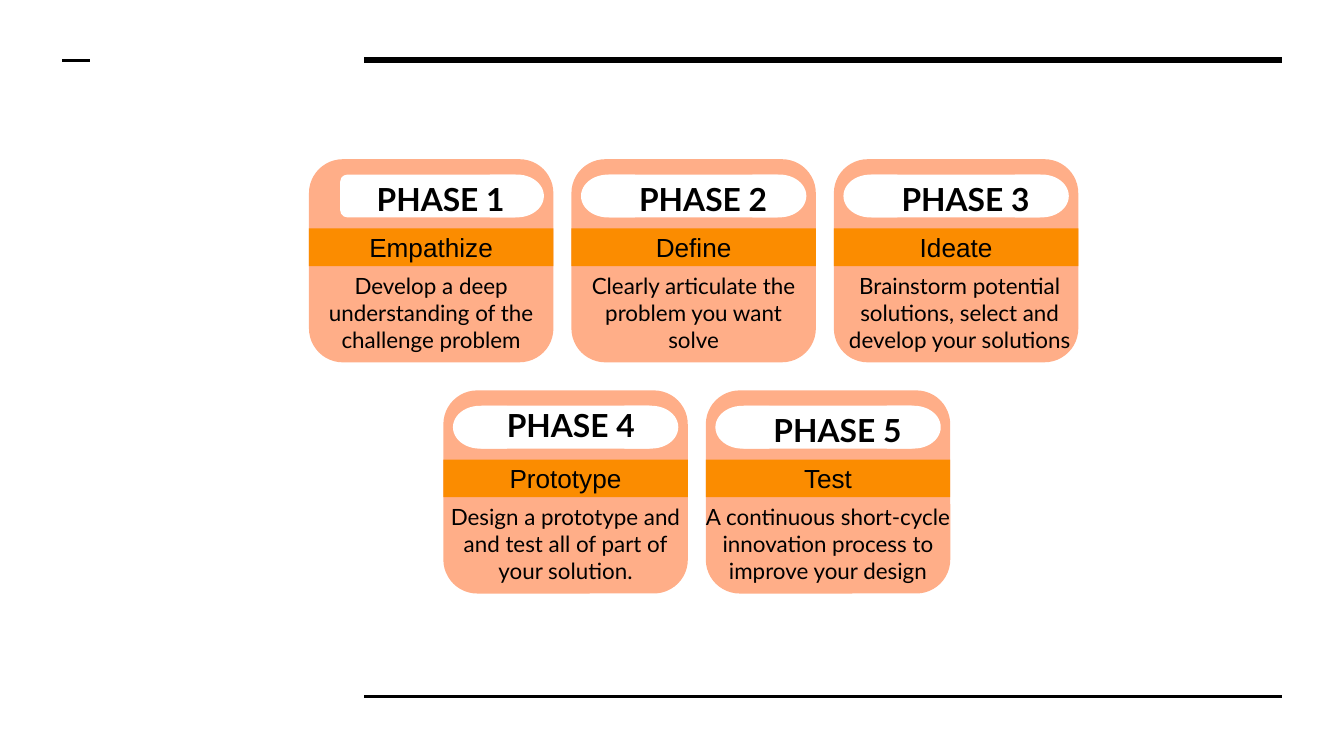
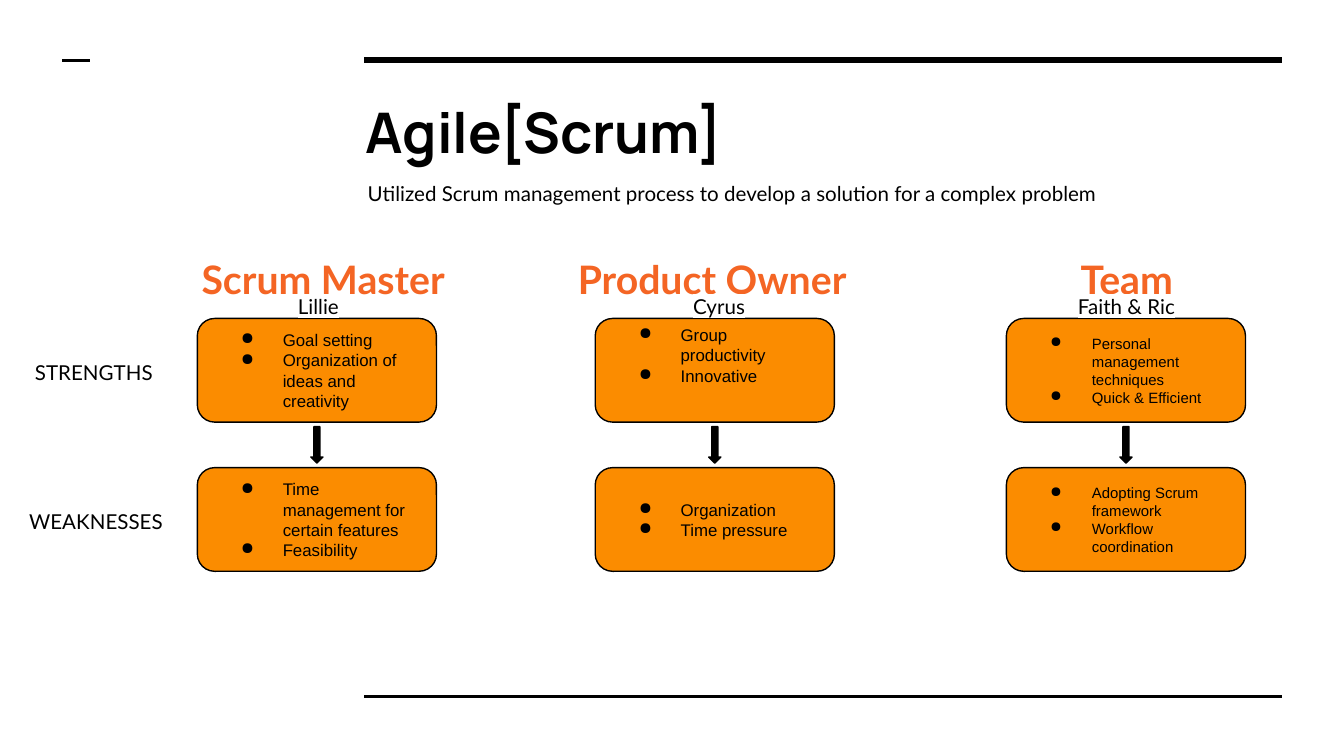
from dataclasses import dataclass

from pptx import Presentation
from pptx.dml.color import RGBColor
from pptx.enum.shapes import MSO_CONNECTOR, MSO_SHAPE
from pptx.enum.text import MSO_ANCHOR, PP_ALIGN
from pptx.oxml.xmlchemy import OxmlElement
from pptx.util import Cm, Pt


@dataclass(frozen=True)
class Theme:
    """Colours, fonts, type sizes and text margins shared by the slides."""
    black: str = "000000"
    white: str = "FFFFFF"
    peach: str = "FFAE88"
    orange: str = "FB8C00"
    role_orange: str = "F46524"
    title_font: str = "Manrope"
    body_font: str = "Lato"
    box_font: str = "Arial"
    title_size: float = 30
    role_size: float = 21
    phase_size: float = 17
    step_size: float = 14
    description_size: float = 12
    label_size: float = 11
    inset: float = 0.25
    corner: float = 0.167


THEME = Theme()


@dataclass(frozen=True)
class Phase:
    """One card of the design process."""
    left: float
    top: float
    heading: str
    step: str
    description: str
    description_width: float
    description_shift: float = 0
    heading_left: float = 0.94
    heading_top: float = 0.13


@dataclass(frozen=True)
class Role:
    """One column of the Scrum team, with boxes given as (left, width)."""
    box_left: float
    title: str
    title_box: tuple
    person: str
    person_box: tuple
    strengths: tuple
    weaknesses: tuple
    size: float = 9
    align: PP_ALIGN = PP_ALIGN.LEFT
    strengths_bottom_inset: float = THEME.inset


CARD_PITCH = 4.96
CARD_WIDTH, CARD_HEIGHT = 4.62, 3.84
TOP_ROW, BOTTOM_ROW = (5.84, 3.01), (8.38, 7.38)
BOX_WIDTH, BOX_HEIGHT = 4.52, 1.96
STRENGTHS_TOP, WEAKNESSES_TOP = 6.02, 8.84
ARROW_WIDTH, ARROW_HEIGHT = 0.23, 0.69

PHASES = (
    Phase(*TOP_ROW, "PHASE 1", "Empathize",
          "Develop a deep understanding of the challenge problem", 5.89),
    Phase(TOP_ROW[0] + CARD_PITCH, TOP_ROW[1], "PHASE 2", "Define",
          "Clearly articulate the problem you want solve", 4.67),
    Phase(TOP_ROW[0] + 2 * CARD_PITCH, TOP_ROW[1], "PHASE 3", "Ideate",
          "Brainstorm potential solutions, select and develop your solutions",
          5.74, description_shift=0.07),
    Phase(*BOTTOM_ROW, "PHASE 4", "Prototype",
          "Design a prototype and and test all of part of your solution.",
          5.05, heading_left=0.86, heading_top=0.04),
    Phase(BOTTOM_ROW[0] + CARD_PITCH, BOTTOM_ROW[1], "PHASE 5", "Test",
          "A continuous short-cycle innovation process to improve your design",
          5.49),
)

ROLES = (
    Role(3.73, "Scrum Master", (3.56, 5.21), "Lillie", (5.38, 1.57),
         ("Goal setting", "Organization of ideas and creativity"),
         ("Time management for certain features", "Feasibility")),
    Role(11.25, "Product Owner", (10.67, 5.69), "Cyrus", (12.85, 1.57),
         ("Group productivity", "Innovative"),
         ("Organization", "Time pressure"), strengths_bottom_inset=0.82),
    Role(19.02, "Team", (18.69, 5.21), "Faith & Ric", (20.02, 2.54),
         ("Personal management techniques", "Quick & Efficient"),
         ("Adopting Scrum framework", "Workflow coordination"),
         size=8, align=PP_ALIGN.CENTER),
)


def color(value):
    """Turn a hexadecimal string into a colour."""
    return RGBColor.from_string(value)


def add_line(slide, start, end, y, width):
    """Draw a horizontal black line without a shadow."""
    line = slide.shapes.add_connector(
        MSO_CONNECTOR.STRAIGHT, Cm(start), Cm(y), Cm(end), Cm(y))
    line.line.color.rgb = color(THEME.black)
    line.line.width = Pt(width)
    line._element.spPr.append(OxmlElement("a:effectLst"))


def add_block(slide, kind, box, fill, outline=None):
    """Draw a filled preset shape in a (left, top, width, height) box."""
    shape = slide.shapes.add_shape(kind, *map(Cm, box))
    shape.shadow.inherit = False
    shape.fill.solid()
    shape.fill.fore_color.rgb = color(fill)
    if outline:
        shape.line.color.rgb = color(outline)
        shape.line.width = Pt(0.75)
    else:
        shape.line.fill.background()
    if kind == MSO_SHAPE.ROUNDED_RECTANGLE:
        shape.adjustments[0] = THEME.corner
    return shape


def set_margins(text_frame, anchor, bottom=THEME.inset):
    """Wrap the text and set its anchor and insets."""
    text_frame.word_wrap = True
    text_frame.vertical_anchor = anchor
    text_frame.margin_left = text_frame.margin_right = Cm(THEME.inset)
    text_frame.margin_top = Cm(THEME.inset)
    text_frame.margin_bottom = Cm(bottom)


def format_runs(paragraph, font, size, ink=THEME.black, bold=False):
    """Give every run of a paragraph its font, size and colour."""
    for run in paragraph.runs:
        run.font.name = font
        run.font.size = Pt(size)
        run.font.bold = bold
        run.font.color.rgb = color(ink)


def highlight_runs(paragraph):
    """Put a white highlight behind every run of a paragraph."""
    for run in paragraph.runs:
        highlight = OxmlElement("a:highlight")
        swatch = OxmlElement("a:srgbClr")
        swatch.set("val", THEME.white)
        highlight.append(swatch)
        run.font._element.find("{*}solidFill").addnext(highlight)


def add_text(slide, box, text, size, font=THEME.body_font, ink=THEME.black,
             bold=False, align=PP_ALIGN.LEFT, spacing=1.0, highlight=False):
    """Add a text box with one formatted paragraph."""
    text_frame = slide.shapes.add_textbox(*map(Cm, box)).text_frame
    set_margins(text_frame, MSO_ANCHOR.TOP)
    text_frame.text = text
    paragraph = text_frame.paragraphs[0]
    paragraph.alignment = align
    paragraph.line_spacing = spacing
    format_runs(paragraph, font, size, ink, bold)
    if highlight:
        highlight_runs(paragraph)


def add_bullet(paragraph):
    """Give a paragraph a black round bullet with a hanging indent."""
    properties = paragraph._p.get_or_add_pPr()
    properties.set("marL", str(Cm(1.27)))
    properties.set("indent", str(-Cm(0.79)))
    bullet_color = OxmlElement("a:buClr")
    swatch = OxmlElement("a:srgbClr")
    swatch.set("val", THEME.black)
    bullet_color.append(swatch)
    bullet = OxmlElement("a:buChar")
    bullet.set("char", "●")
    properties.extend((bullet_color, bullet))


def add_bullet_box(slide, left, top, items, size, bottom_inset=THEME.inset):
    """Add an outlined orange box that holds a bulleted list."""
    box = add_block(slide, MSO_SHAPE.ROUNDED_RECTANGLE,
                    (left, top, BOX_WIDTH, BOX_HEIGHT),
                    THEME.orange, THEME.black)
    text_frame = box.text_frame
    set_margins(text_frame, MSO_ANCHOR.MIDDLE, bottom_inset)
    text_frame.text = "\n".join(items)
    for paragraph in text_frame.paragraphs:
        paragraph.alignment = PP_ALIGN.LEFT
        add_bullet(paragraph)
        format_runs(paragraph, THEME.box_font, size)


def add_pill(slide, left, top, rounded_left):
    """Draw the white heading plate of a card."""
    add_block(slide, MSO_SHAPE.FLOWCHART_DELAY,
              (left + 3.42, top, 1.02, 0.81), THEME.white)
    add_block(slide, MSO_SHAPE.ROUNDED_RECTANGLE,
              (left + 0.59, top, 3.43, 0.81), THEME.white)
    if rounded_left:
        end = add_block(slide, MSO_SHAPE.FLOWCHART_DELAY,
                        (left + 0.18, top, 1.02, 0.81), THEME.white)
        end.rotation = 180


def add_phase_card(slide, phase, rounded_left):
    """Draw a card with its heading, step band and description."""
    left, top = phase.left, phase.top
    add_block(slide, MSO_SHAPE.ROUNDED_RECTANGLE,
              (left, top, CARD_WIDTH, CARD_HEIGHT), THEME.peach)
    add_pill(slide, left, top + 0.29, rounded_left)
    band = add_block(slide, MSO_SHAPE.RECTANGLE,
                     (left, top + 1.31, CARD_WIDTH, 0.71), THEME.orange)
    set_margins(band.text_frame, MSO_ANCHOR.MIDDLE)
    band.text_frame.text = phase.step
    paragraph = band.text_frame.paragraphs[0]
    paragraph.alignment = PP_ALIGN.CENTER
    format_runs(paragraph, THEME.box_font, THEME.step_size)
    add_text(slide, (left + phase.heading_left, top + phase.heading_top,
                     3.1, 0.71),
             phase.heading, THEME.phase_size, bold=True,
             align=PP_ALIGN.CENTER)
    width = phase.description_width
    description_left = left + (CARD_WIDTH - width) / 2
    add_text(slide, (description_left + phase.description_shift, top + 1.89,
                     width, 0.89),
             phase.description, THEME.description_size,
             align=PP_ALIGN.CENTER)


def add_role_column(slide, role):
    """Draw a role with its person, strengths and weaknesses."""
    title_left, title_width = role.title_box
    add_text(slide, (title_left, 4.45, title_width, 1.32), role.title,
             THEME.role_size, ink=THEME.role_orange, bold=True,
             align=role.align, spacing=1.15)
    add_bullet_box(slide, role.box_left, STRENGTHS_TOP, role.strengths,
                   role.size, role.strengths_bottom_inset)
    add_bullet_box(slide, role.box_left, WEAKNESSES_TOP, role.weaknesses,
                   role.size)
    gap_middle = (STRENGTHS_TOP + BOX_HEIGHT + WEAKNESSES_TOP) / 2
    add_block(slide, MSO_SHAPE.DOWN_ARROW,
              (role.box_left + (BOX_WIDTH - ARROW_WIDTH) / 2,
               gap_middle - ARROW_HEIGHT / 2, ARROW_WIDTH, ARROW_HEIGHT),
              THEME.black, THEME.black)
    person_left, person_width = role.person_box
    add_text(slide, (person_left, 5.23, person_width, 0.97), role.person,
             THEME.label_size, align=role.align, spacing=1.15,
             highlight=True)


def add_framed_slide(presentation):
    """Add a blank slide with the shared rules at top and bottom."""
    slide = presentation.slides.add_slide(presentation.slide_layouts[6])
    slide.background.fill.solid()
    slide.background.fill.fore_color.rgb = color(THEME.white)
    add_line(slide, 6.88, 24.23, 1.14, 3)
    add_line(slide, 6.88, 24.23, 13.16, 1.5)
    add_line(slide, 1.18, 1.7, 1.14, 1.5)
    return slide


def build_phases(presentation):
    """Build the slide of the five design phases."""
    slide = add_framed_slide(presentation)
    for index, phase in enumerate(PHASES):
        add_phase_card(slide, phase, rounded_left=index > 0)


def build_scrum(presentation):
    """Build the slide of the Scrum roles."""
    slide = add_framed_slide(presentation)
    add_text(slide, (6.65, 1.6, 17.55, 1.75), "Agile[Scrum]",
             THEME.title_size, font=THEME.title_font, bold=True)
    add_text(slide, (6.7, 3.1, 17.55, 1.32),
             "Utilized Scrum management process to develop a solution "
             "for a complex problem",
             THEME.label_size, spacing=1.15, highlight=True)
    for role in ROLES:
        add_role_column(slide, role)
    for left, top, width, label in ((0.41, 6.48, 2.77, "STRENGTHS"),
                                    (0.3, 9.3, 3.4, "WEAKNESSES")):
        add_text(slide, (left, top, width, 1.04), label, THEME.label_size,
                 spacing=1.15)


def main():
    """Build and save the presentation."""
    presentation = Presentation()
    presentation.slide_width = Cm(25.4)
    presentation.slide_height = Cm(14.29)
    build_phases(presentation)
    build_scrum(presentation)
    presentation.save("out.pptx")


if __name__ == "__main__":
    main()
